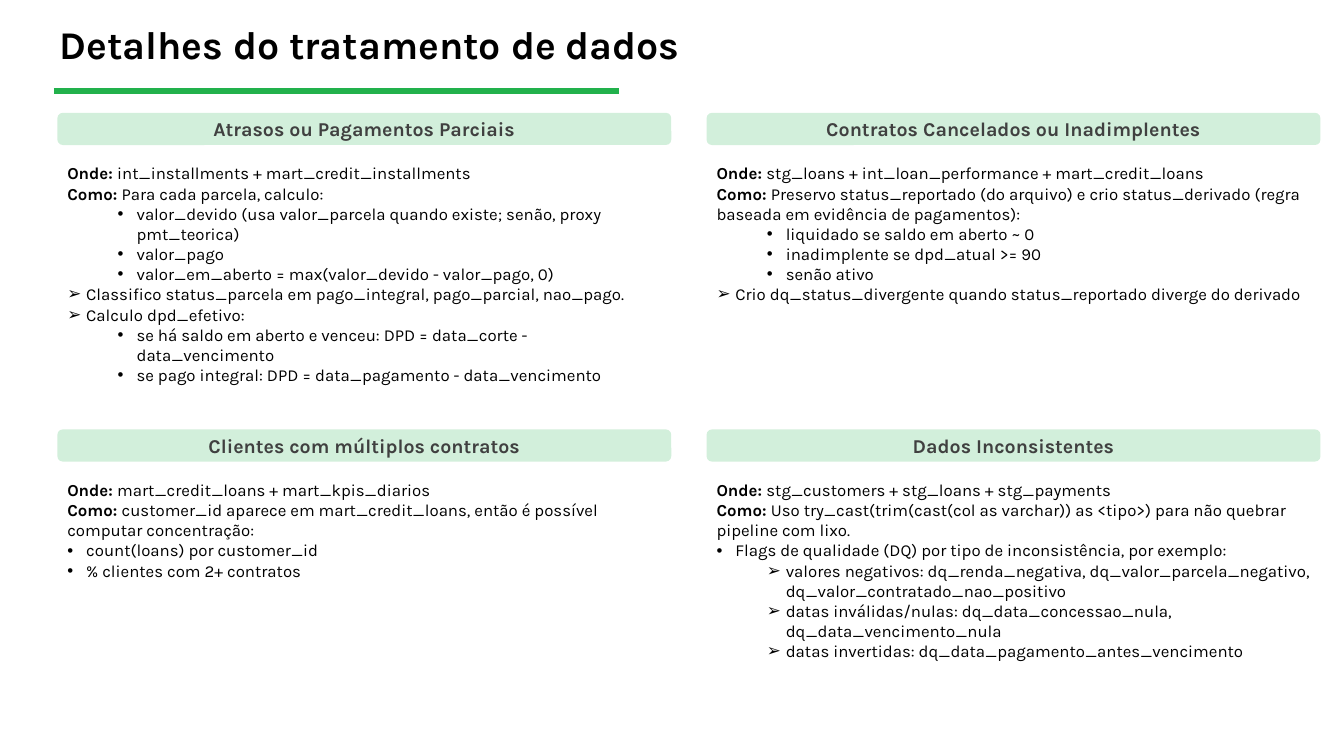
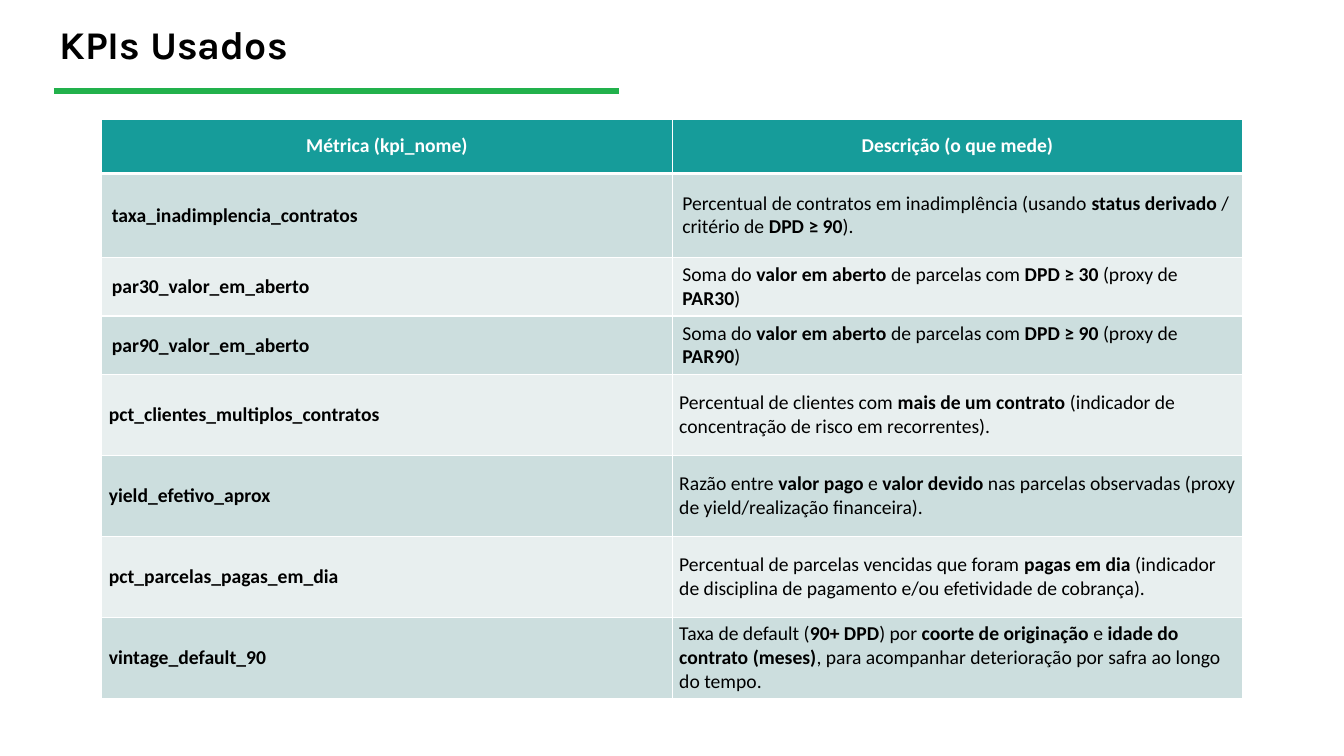
from lxml import etree
from pptx import Presentation
from pptx.dml.color import RGBColor
from pptx.enum import shapes, text
from pptx.oxml import ns
from pptx.util import Pt

COLORS = {"green": "22B14C", "black": "000000", "gray": "404040", "white": "FFFFFF",
          "teal": "169C9A", "row_dark": "CCDEDE", "row_light": "E8EFEF"}
FONT, TABLE_FONT = "Karla", "Calibri"

# Content: ** toggles bold; a paragraph is (text, level, bullet)
TOPICS_TITLE = "Detalhes do tratamento de dados"
TOPICS = [
    ("Atrasos ou Pagamentos Parciais", [
        ("**Onde: **int_installments + mart_credit_installments", 0, ""),
        ("**Como: **Para cada parcela, calculo:", 0, ""),
        ("valor_devido (usa valor_parcela quando existe; senão, proxy pmt_teorica)", 1, "•"),
        ("valor_pago", 1, "•"),
        ("valor_em_aberto = max(valor_devido - valor_pago, 0)", 1, "•"),
        ("Classifico status_parcela em pago_integral, pago_parcial, nao_pago.", 0, "➢"),
        ("Calculo dpd_efetivo:", 0, "➢"),
        ("se há saldo em aberto e venceu: DPD = data_corte - data_vencimento", 1, "•"),
        ("se pago integral: DPD = data_pagamento - data_vencimento", 1, "•"),
    ]),
    ("Contratos Cancelados ou Inadimplentes", [
        ("**Onde: **stg_loans + int_loan_performance + mart_credit_loans", 0, ""),
        ("**Como: **Preservo status_reportado (do arquivo) e crio status_derivado "
         "(regra baseada em evidência de pagamentos):", 0, ""),
        ("liquidado se saldo em aberto ~ 0", 1, "•"),
        ("inadimplente se dpd_atual >= 90", 1, "•"),
        ("senão ativo", 1, "•"),
        ("Crio dq_status_divergente quando status_reportado diverge do derivado", 0, "➢"),
    ]),
    ("Clientes com múltiplos contratos", [
        ("**Onde: **mart_credit_loans + mart_kpis_diarios", 0, ""),
        ("**Como: **customer_id aparece em mart_credit_loans, então é possível "
         "computar concentração:", 0, ""),
        ("count(loans) por customer_id", 0, "•"),
        ("% clientes com 2+ contratos", 0, "•"),
    ]),
    ("Dados Inconsistentes", [
        ("**Onde: **stg_customers + stg_loans + stg_payments", 0, ""),
        ("**Como: **Uso try_cast(trim(cast(col as varchar)) as <tipo>) para não "
         "quebrar pipeline com lixo.", 0, ""),
        ("Flags de qualidade (DQ) por tipo de inconsistência, por exemplo:", 0, "•"),
        ("valores negativos: dq_renda_negativa, dq_valor_parcela_negativo, "
         "dq_valor_contratado_nao_positivo", 1, "➢"),
        ("datas inválidas/nulas: dq_data_concessao_nula, dq_data_vencimento_nula", 1, "➢"),
        ("datas invertidas: dq_data_pagamento_antes_vencimento", 1, "➢"),
    ]),
]

KPIS_TITLE = "KPIs Usados"
KPI_HEADER = ("Métrica (kpi_nome)", "Descrição (o que mede)")
# Metric, description, row height
KPIS = [
    ("taxa_inadimplencia_contratos", "Percentual de contratos em inadimplência (usando "
     "**status derivado** / critério de **DPD ≥ 90**).", 59.8),
    ("par30_valor_em_aberto", "Soma do **valor em aberto** de parcelas com **DPD ≥ 30 **"
     "(proxy de **PAR30**)", 42),
    ("par90_valor_em_aberto", "Soma do **valor em aberto** de parcelas com **DPD ≥ 90 **"
     "(proxy de **PAR90**)", 42),
    ("pct_clientes_multiplos_contratos", "Percentual de clientes com **mais de um contrato** "
     "(indicador de concentração de risco em recorrentes).", 57.8),
    ("yield_efetivo_aprox", "Razão entre **valor pago** e **valor devido** nas parcelas "
     "observadas (proxy de yield/realização financeira).", 57.8),
    ("pct_parcelas_pagas_em_dia", "Percentual de parcelas vencidas que foram **pagas em dia** "
     "(indicador de disciplina de pagamento e/ou efetividade de cobrança).", 57.8),
    ("vintage_default_90", "Taxa de default (**90+ DPD**) por **coorte de originação** e "
     "**idade do contrato (meses)**, para acompanhar deterioração por safra ao longo do "
     "tempo.", 57.8),
]
FIRST_TIGHT_ROW = 4  # rows from here on have narrow cell margins

# Layout
TOPIC_X, TOPIC_Y, TOPIC_W = (41, 504.7), (80.6, 306.7), 438.5
BAND_H, BODY_DROP, LINE_H = 23, 32.4, 14.5
INDENT, LEVEL_STEP = 13.5, 36
TABLE_X, TABLE_Y, COL_W, HEADER_H = 72.7, 85, 407.5, 38.9


def rgb(name):
    return RGBColor.from_string(COLORS[name])


def add_xml(parent, tag, **attrs):
    return etree.SubElement(parent, ns.qn(tag), attrs)


def write(p, content, size=12, font=FONT, color="black", bold=False, align=None,
          level=0, bullet=""):
    """Fill a paragraph, toggling bold at each ** mark."""
    p.alignment, p.level = align, level
    if bullet:
        pPr = p._p.get_or_add_pPr()
        pPr.set("marL", str(Pt(INDENT + level * LEVEL_STEP)))
        pPr.set("indent", str(-Pt(INDENT)))
        add_xml(pPr, "a:buFont", typeface="Arial")
        add_xml(pPr, "a:buChar", char=bullet)
    for i, part in enumerate(content.split("**")):
        if part:
            r = p.add_run()
            r.text = part
            f = r.font
            f.name, f.size, f.bold = font, Pt(size), bold or i % 2 == 1
            f.color.rgb = rgb(color)


def add_text_box(slide, x, y, w, h):
    tf = slide.shapes.add_textbox(Pt(x), Pt(y), Pt(w), Pt(h)).text_frame
    tf.word_wrap = True
    return tf


def new_slide(prs, title):
    """Blank slide with the shared title and green rule."""
    slide = prs.slides.add_slide(prs.slide_layouts[6])
    rule = slide.shapes.add_connector(shapes.MSO_CONNECTOR.STRAIGHT,
                                      Pt(38.5), Pt(65), Pt(442), Pt(65))
    rule.line.color.rgb, rule.line.width = rgb("green"), Pt(4.5)
    add_xml(rule._element.spPr, "a:effectLst")
    tf = add_text_box(slide, 35.5, 11, 900, 41)
    write(tf.paragraphs[0], title, size=28, bold=True)
    return slide


def add_topic(slide, x, y, heading, paragraphs):
    # Translucent heading band
    band = slide.shapes.add_shape(shapes.MSO_SHAPE.ROUNDED_RECTANGLE,
                                  Pt(x), Pt(y), Pt(TOPIC_W), Pt(BAND_H))
    band.shadow.inherit = False
    band.fill.solid()
    band.fill.fore_color.rgb = rgb("green")
    add_xml(band._element.spPr.find(".//" + ns.qn("a:srgbClr")), "a:alpha", val="20000")
    band.line.fill.background()
    tf = band.text_frame
    tf.vertical_anchor = text.MSO_ANCHOR.MIDDLE
    write(tf.paragraphs[0], heading, size=14, color="gray", bold=True,
          align=text.PP_ALIGN.CENTER)
    # Body
    tf = add_text_box(slide, x, y + BODY_DROP, TOPIC_W, LINE_H * len(paragraphs) + 7)
    for i, (content, level, bullet) in enumerate(paragraphs):
        p = tf.add_paragraph() if i else tf.paragraphs[0]
        write(p, content, level=level, bullet=bullet)


def fill_cell(cell, content, row, fill, **fmt):
    cell.vertical_anchor = text.MSO_ANCHOR.MIDDLE
    if row >= FIRST_TIGHT_ROW:
        cell.margin_left = cell.margin_right = Pt(5)
        cell.margin_top = cell.margin_bottom = Pt(2.4)
    # White borders, thick under the header
    thick = {"a:lnB": 0, "a:lnT": 1}
    for side in ("a:lnL", "a:lnR", "a:lnT", "a:lnB"):
        width = 3 if thick.get(side) == row else 1
        ln = add_xml(cell._tc.get_or_add_tcPr(), side, w=str(Pt(width)))
        add_xml(add_xml(ln, "a:solidFill"), "a:srgbClr", val=COLORS["white"])
    cell.fill.solid()
    cell.fill.fore_color.rgb = rgb(fill)
    write(cell.text_frame.paragraphs[0], content, size=14, font=TABLE_FONT, **fmt)


def add_kpi_table(slide):
    heights = [HEADER_H] + [kpi[2] for kpi in KPIS]
    table = slide.shapes.add_table(len(heights), 2, Pt(TABLE_X), Pt(TABLE_Y),
                                   Pt(2 * COL_W), Pt(sum(heights))).table
    for col in table.columns:
        col.width = Pt(COL_W)
    for row, height in zip(table.rows, heights):
        row.height = Pt(height)
    for c, heading in enumerate(KPI_HEADER):
        fill_cell(table.cell(0, c), heading, 0, "teal", color="white", bold=True,
                  align=text.PP_ALIGN.CENTER)
    for r, (metric, description, _) in enumerate(KPIS, 1):
        fill = "row_dark" if r % 2 else "row_light"
        fill_cell(table.cell(r, 0), metric, r, fill, bold=True)
        fill_cell(table.cell(r, 1), description, r, fill)


def main():
    prs = Presentation()
    prs.slide_width, prs.slide_height = Pt(960), Pt(540)

    # Data treatment: two by two topics
    slide = new_slide(prs, TOPICS_TITLE)
    for i, (heading, paragraphs) in enumerate(TOPICS):
        add_topic(slide, TOPIC_X[i % 2], TOPIC_Y[i // 2], heading, paragraphs)

    # KPI table
    add_kpi_table(new_slide(prs, KPIS_TITLE))
    prs.save("out.pptx")


if __name__ == "__main__":
    main()
